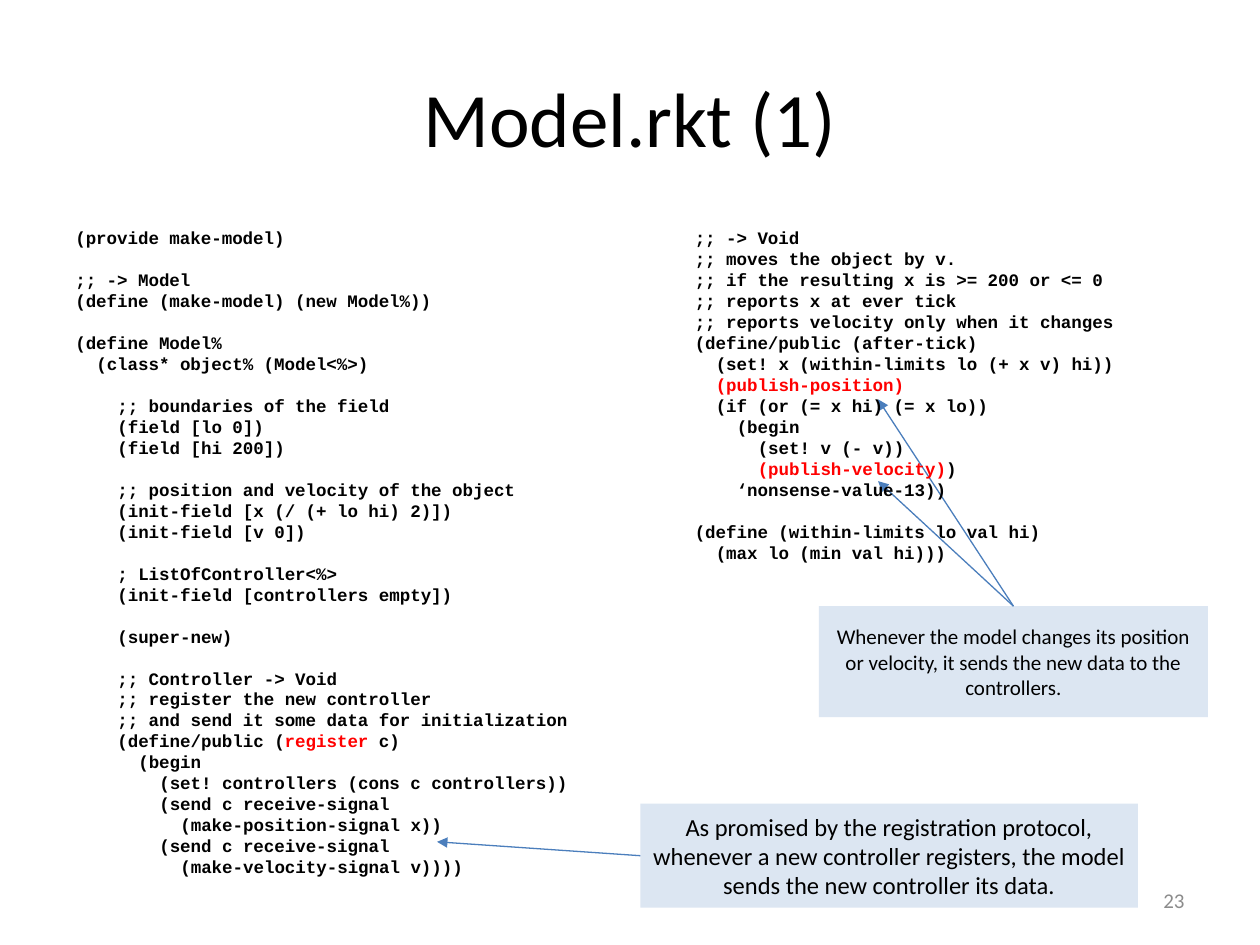
from lxml import etree
from pptx import Presentation
from pptx.dml.color import RGBColor
from pptx.enum.shapes import MSO_CONNECTOR, MSO_SHAPE
from pptx.enum.text import MSO_ANCHOR, PP_ALIGN
from pptx.oxml.ns import qn
from pptx.util import Cm, Pt

CENTER, RIGHT = PP_ALIGN.CENTER, PP_ALIGN.RIGHT
MIDDLE = MSO_ANCHOR.MIDDLE
STRAIGHT = MSO_CONNECTOR.STRAIGHT
RECTANGLE = MSO_SHAPE.RECTANGLE
TOP_SIDE, LEFT_SIDE = 0, 1

CODE_SIZE = 10
CODE_LEADING = 12
CHARACTER_WIDTH = 0.6 * CODE_SIZE

# Code listings: ~ switches the highlight colour on and off
MODEL_CODE = """\
(provide make-model)

;; -> Model
(define (make-model) (new Model%))

(define Model%
  (class* object% (Model<%>)

    ;; boundaries of the field
    (field [lo 0])
    (field [hi 200])

    ;; position and velocity of the object
    (init-field [x (/ (+ lo hi) 2)])
    (init-field [v 0])

    ; ListOfController<%>
    (init-field [controllers empty])

    (super-new)

    ;; Controller -> Void
    ;; register the new controller
    ;; and send it some data for initialization
    (define/public (~register~ c)
      (begin
        (set! controllers (cons c controllers))
        (send c receive-signal
          (make-position-signal x))
        (send c receive-signal
          (make-velocity-signal v))))"""

TICK_CODE = """\
    ;; -> Void
    ;; moves the object by v.
    ;; if the resulting x is >= 200 or <= 0
    ;; reports x at ever tick
    ;; reports velocity only when it changes
    (define/public (after-tick)
      (set! x (within-limits lo (+ x v) hi))
      ~(publish-position)~
      (if (or (= x hi) (= x lo))
        (begin
          (set! v (- v))
          ~(publish-velocity)~)
        ‘nonsense-value-13))

    (define (within-limits lo val hi)
      (max lo (min val hi)))"""


def color(value):
    return RGBColor.from_string(value)


def add_run(paragraph, text, size, font="Calibri", fill="000000", bold=False):
    run = paragraph.add_run()
    run.text = text
    run.font.name = font
    run.font.size = Pt(size)
    run.font.bold = bold
    run.font.color.rgb = color(fill)


presentation = Presentation()
presentation.slide_width = Cm(25.4)
presentation.slide_height = Cm(19.05)
slide = presentation.slides.add_slide(presentation.slide_layouts[6])

# Title and slide number
labels = [
    ("Model.rkt (1)", 1.27, 0.76, 22.86, 3.18, CENTER, 44, "000000"),
    ("23", 18.2, 17.65, 5.93, 1.01, RIGHT, 12, "8C8C8C"),
]
for text, left, top, width, height, alignment, size, fill in labels:
    label = slide.shapes.add_textbox(Cm(left), Cm(top), Cm(width), Cm(height))
    label.text_frame.word_wrap = True
    label.text_frame.vertical_anchor = MIDDLE
    paragraph = label.text_frame.paragraphs[0]
    paragraph.alignment = alignment
    add_run(paragraph, text, size, fill=fill)

# Callouts, each with arrows from one side to lines of code
callouts = [
    ("Whenever the model changes its position or velocity, "
     "it sends the new data to the controllers.",
     16.51, 12.22, 7.84, 2.24, 12, TOP_SIDE, [(17.7, 8.05), (17.7, 9.7)]),
    ("As promised by the registration protocol, whenever a new controller "
     "registers, the model sends the new controller its data.",
     12.91, 16.2, 10.03, 2.1, 14, LEFT_SIDE, [(8.81, 16.97)]),
]
for text, left, top, width, height, size, side, targets in callouts:
    callout = slide.shapes.add_shape(
        RECTANGLE, Cm(left), Cm(top), Cm(width), Cm(height))
    callout.shadow.inherit = False
    callout.fill.solid()
    callout.fill.fore_color.rgb = color("DCE6F2")
    callout.line.fill.background()
    callout.text_frame.word_wrap = True
    callout.text_frame.vertical_anchor = MIDDLE
    paragraph = callout.text_frame.paragraphs[0]
    paragraph.alignment = CENTER
    add_run(paragraph, text, size)

    for x, y in targets:
        arrow = slide.shapes.add_connector(
            STRAIGHT, Cm(left), Cm(top), Cm(x), Cm(y))
        arrow.begin_connect(callout, side)
        arrow.line.color.rgb = color("4B7EBC")
        arrow.line.width = Pt(0.75)
        etree.SubElement(arrow.line._get_or_add_ln(), qn("a:tailEnd"),
                         type="triangle")
        etree.SubElement(arrow._element.spPr, qn("a:effectLst"))

# Code columns: leading spaces become indents, empty lines become spacing
for code, left in [(MODEL_CODE, 1.27), (TICK_CODE, 12.91)]:
    column = slide.shapes.add_textbox(Cm(left), Cm(4.45), Cm(11.22), Cm(12.57))
    frame = column.text_frame
    frame.word_wrap = True
    paragraph = frame.paragraphs[0]
    gap = 0
    for number, line in enumerate(code.splitlines()):
        if not line:
            gap = CODE_LEADING
            continue
        if number:
            paragraph = frame.add_paragraph()
        paragraph.line_spacing = Pt(CODE_LEADING)
        paragraph.space_before = Pt(gap)
        gap = 0
        content = line.lstrip()
        indent = Pt((len(line) - len(content)) * CHARACTER_WIDTH)
        properties = paragraph._p.get_or_add_pPr()
        properties.set("marL", str(indent))
        properties.set("indent", "0")
        for part, text in enumerate(content.split("~")):
            if text:
                add_run(paragraph, text, CODE_SIZE, "Courier New",
                        "FF0000" if part % 2 else "000000", True)

presentation.save("out.pptx")
